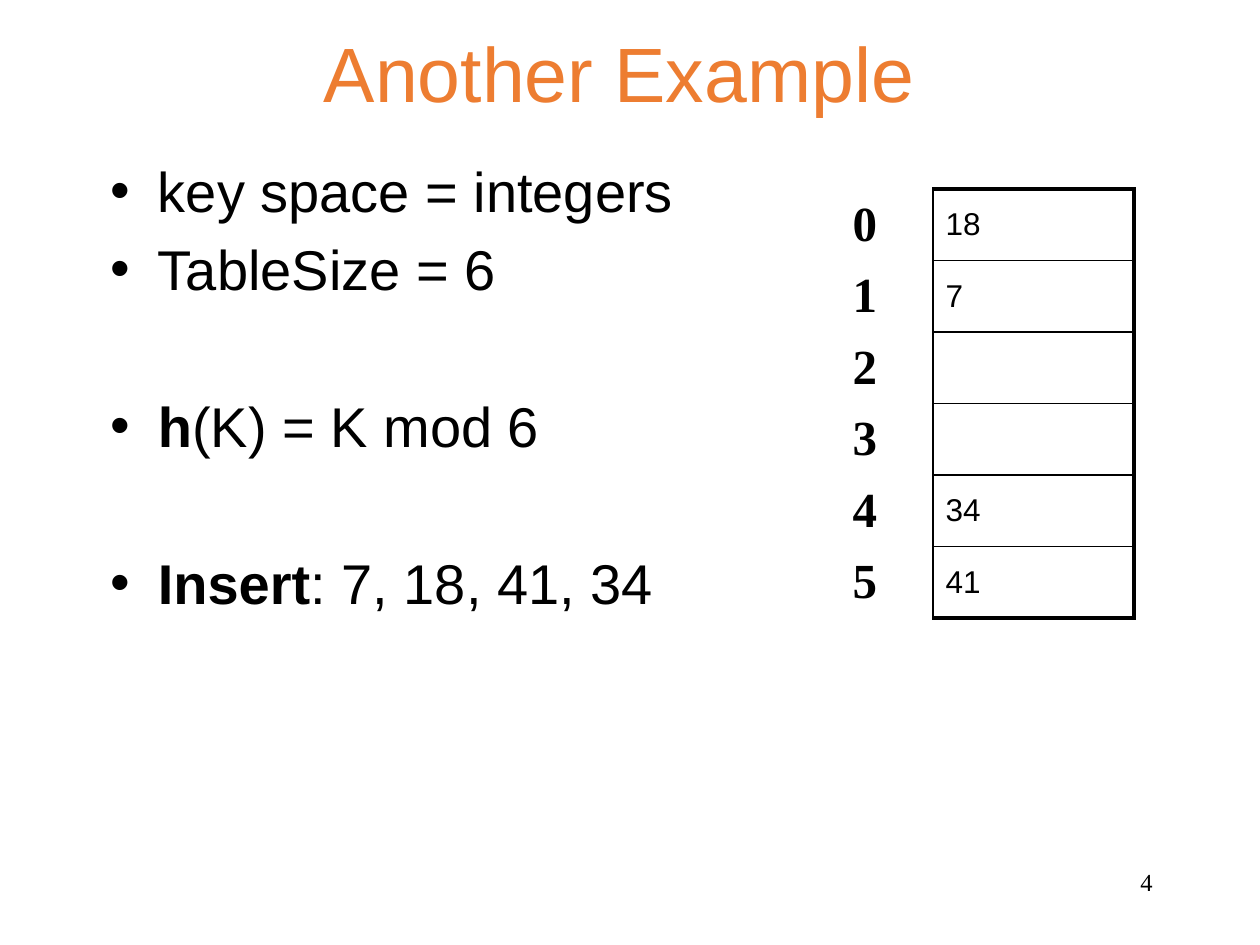
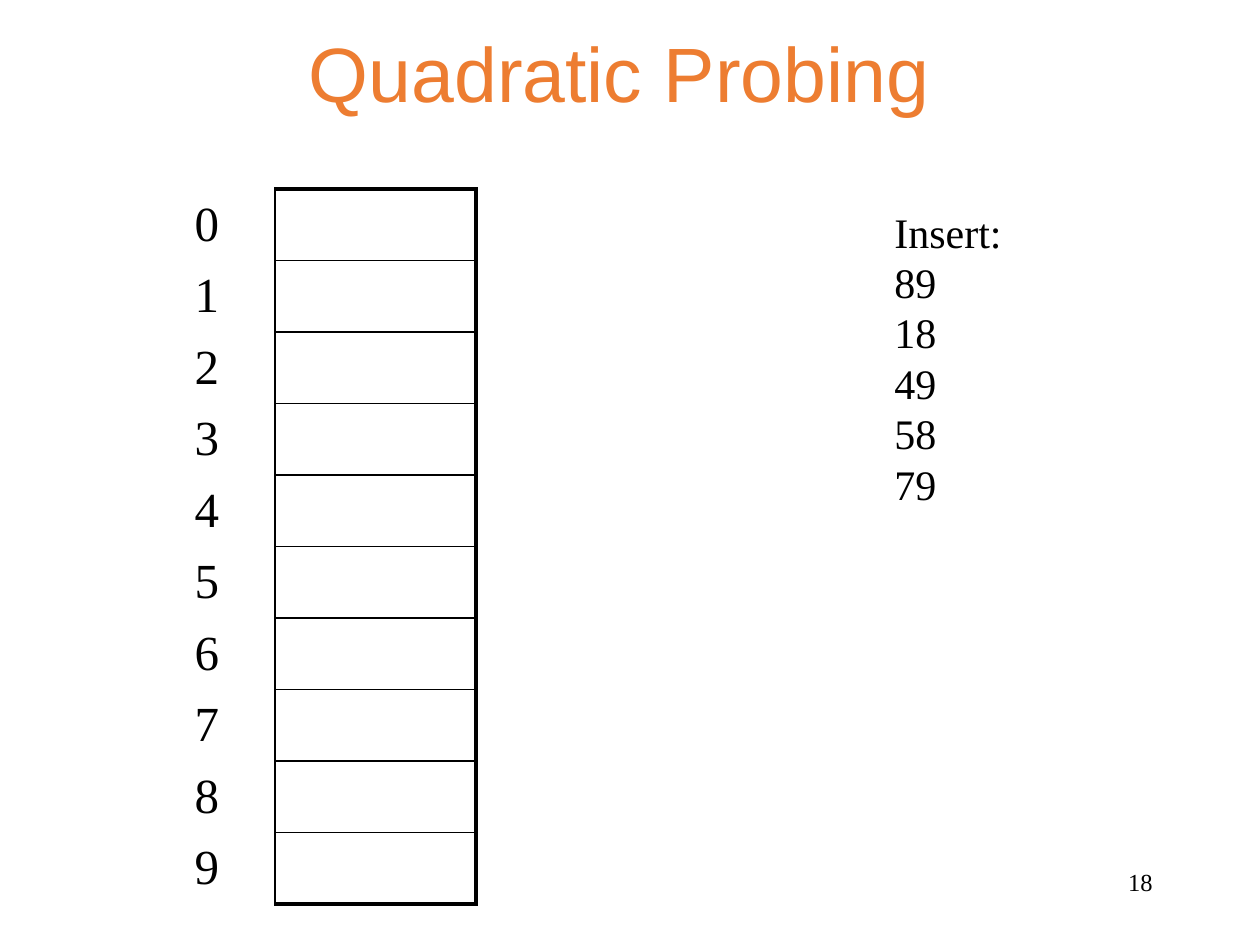
from lxml.etree import SubElement
from pptx import Presentation
from pptx.dml.color import RGBColor
from pptx.enum.text import MSO_ANCHOR, MSO_AUTO_SIZE, PP_ALIGN
from pptx.oxml.ns import qn
from pptx.util import Pt

EMU_PER_PX = 914400 / 126
ORANGE = "ED7D31"
BLACK = "000000"
SANS = "Arial"
SERIF = "Times New Roman"
PLAIN_TABLE_STYLE = "{2D5ABB26-0587-4C30-8999-92F81FD0307C}"
TITLE_BOX = (84, 24, 1071, 95)
PAGE_NUMBER_BOX = (903, 861, 262, 63)
INDEX_WIDTH = 93
THIN, THICK = 1, 2.25
LINE_FACTOR = 1.2
ITEM_GAP = 6.4


def px(length):
    return round(length * EMU_PER_PX)


def color(hex_string):
    return RGBColor.from_string(hex_string)


def place(shape, box):
    shape.left, shape.top, shape.width, shape.height = map(px, box)


def format_runs(paragraph, size, face, hex_string=BLACK, bold=None):
    for run in paragraph.runs:
        run.font.size = Pt(size)
        run.font.name = face
        run.font.color.rgb = color(hex_string)
        if bold is not None:
            run.font.bold = bold


def add_title(slide, text):
    title = slide.shapes.title
    place(title, TITLE_BOX)
    frame = title.text_frame
    frame.text = text
    frame.auto_size = MSO_AUTO_SIZE.NONE
    frame.vertical_anchor = MSO_ANCHOR.MIDDLE
    heading = frame.paragraphs[0]
    heading.alignment = PP_ALIGN.CENTER
    format_runs(heading, 44, SANS, ORANGE)


def add_serif_lines(slide, box, text, size, alignment):
    frame = slide.shapes.add_textbox(*map(px, box)).text_frame
    frame.word_wrap = True
    frame.text = text
    for line in frame.paragraphs:
        line.alignment = alignment
        line.line_spacing = Pt(size * LINE_FACTOR)
        format_runs(line, size, SERIF)


def add_bullets(slide, box, items, size=32):
    body = slide.placeholders[1]
    place(body, box)
    frame = body.text_frame
    frame.auto_size = MSO_AUTO_SIZE.NONE
    line_height = size * LINE_FACTOR
    for position, (strong, rest, starts_group) in enumerate(items):
        item = frame.add_paragraph() if position else frame.paragraphs[0]
        for part, bold in ((strong, True), (rest, False)):
            if part:
                run = item.add_run()
                run.text = part
                run.font.bold = bold
        item.line_spacing = Pt(line_height)
        group_gap = ITEM_GAP + line_height if starts_group else 0
        item.space_before = Pt(ITEM_GAP + group_gap if position else 0)
        format_runs(item, size, SANS)


def add_border(cell, side, points):
    border = SubElement(cell._tc.get_or_add_tcPr(), qn(f"a:ln{side}"), w=str(Pt(points)))
    fill = SubElement(border, qn("a:solidFill"))
    SubElement(fill, qn("a:srgbClr"), val=BLACK)


def add_hash_table(slide, box, slots, bold_index):
    count = len(slots)
    left, top, width, height = map(px, box)
    table = slide.shapes.add_table(count, 2, left, top, width, height).table
    table.first_row = table.horz_banding = False
    table._tbl.tblPr.find(qn("a:tableStyleId")).text = PLAIN_TABLE_STYLE
    table.columns[0].width = px(INDEX_WIDTH)
    table.columns[1].width = width - px(INDEX_WIDTH)
    for index, value in enumerate(slots):
        table.rows[index].height = height // count
        key, slot = table.cell(index, 0), table.cell(index, 1)
        key.text = str(index)
        slot.text = value
        format_runs(key.text_frame.paragraphs[0], 28, SERIF, bold=bold_index)
        format_runs(slot.text_frame.paragraphs[0], 18, SANS, bold=False)
        add_border(key, "R", THIN)
        add_border(slot, "L", THIN)
        add_border(slot, "R", THICK)
        add_border(slot, "T", THICK if index == 0 else THIN)
        add_border(slot, "B", THICK if index == count - 1 else THIN)
        for cell in (key, slot):
            cell.vertical_anchor = MSO_ANCHOR.MIDDLE
            cell.fill.background()


def add_base_slide(deck, layout, title, page_number):
    slide = deck.slides.add_slide(deck.slide_layouts[layout])
    add_title(slide, title)
    add_serif_lines(slide, PAGE_NUMBER_BOX, page_number, 14, PP_ALIGN.RIGHT)
    return slide


def build_example(deck):
    slide = add_base_slide(deck, 1, "Another Example", "4")
    add_bullets(slide, (98, 150, 1071, 134), [
        ("", "key space = integers", False),
        ("", "TableSize = 6", False),
        ("h", "(K) = K mod 6", True),
        ("Insert", ": 7, 18, 41, 34", True),
    ])
    add_hash_table(slide, (840, 189, 294, 428), ["18", "7", "", "", "34", "41"], True)


def build_quadratic_probing(deck):
    slide = add_base_slide(deck, 5, "Quadratic Probing", "18")
    add_hash_table(slide, (182, 189, 294, 714), [""] * 10, False)
    insertions = "\n".join(["Insert:", "89", "18", "49", "58", "79"])
    add_serif_lines(slide, (882, 200, 193, 315), insertions, 24, PP_ALIGN.LEFT)


def main():
    deck = Presentation()
    deck.slide_width, deck.slide_height = px(1260), px(945)
    build_example(deck)
    build_quadratic_probing(deck)
    deck.save("out.pptx")


if __name__ == "__main__":
    main()
